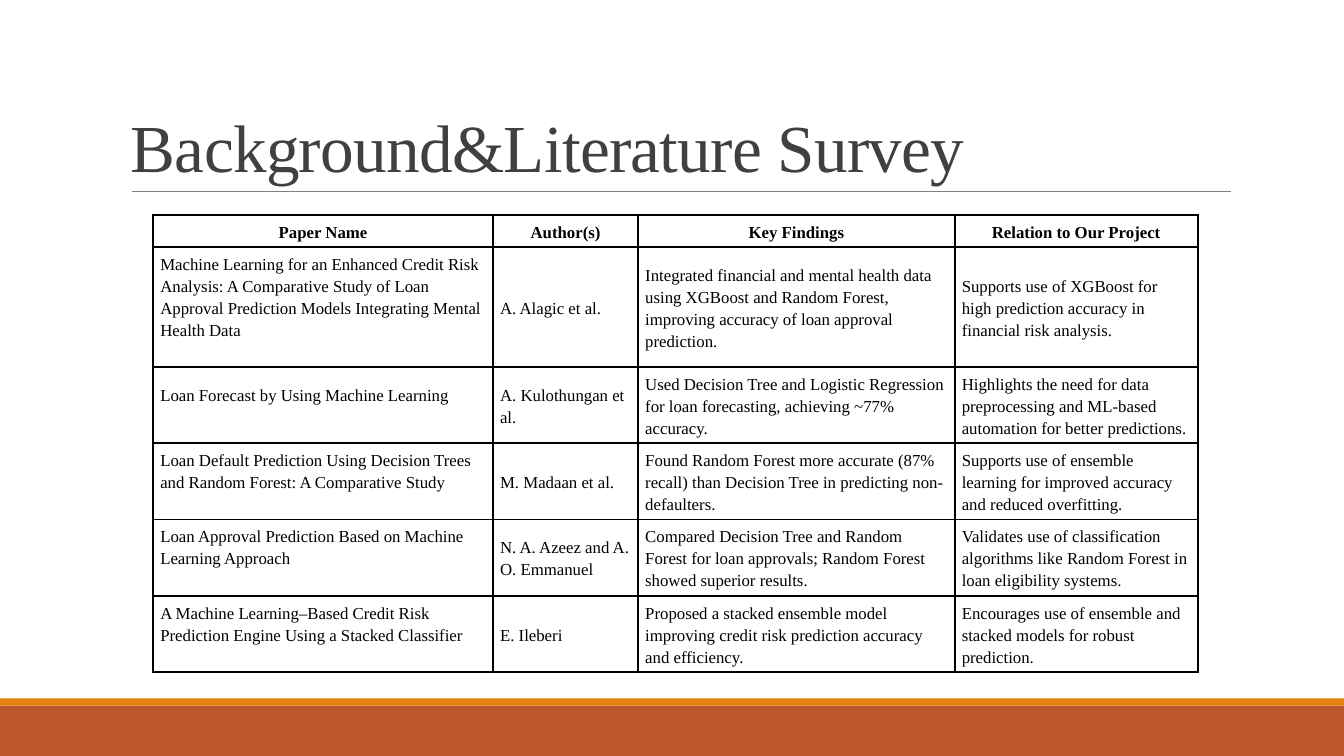
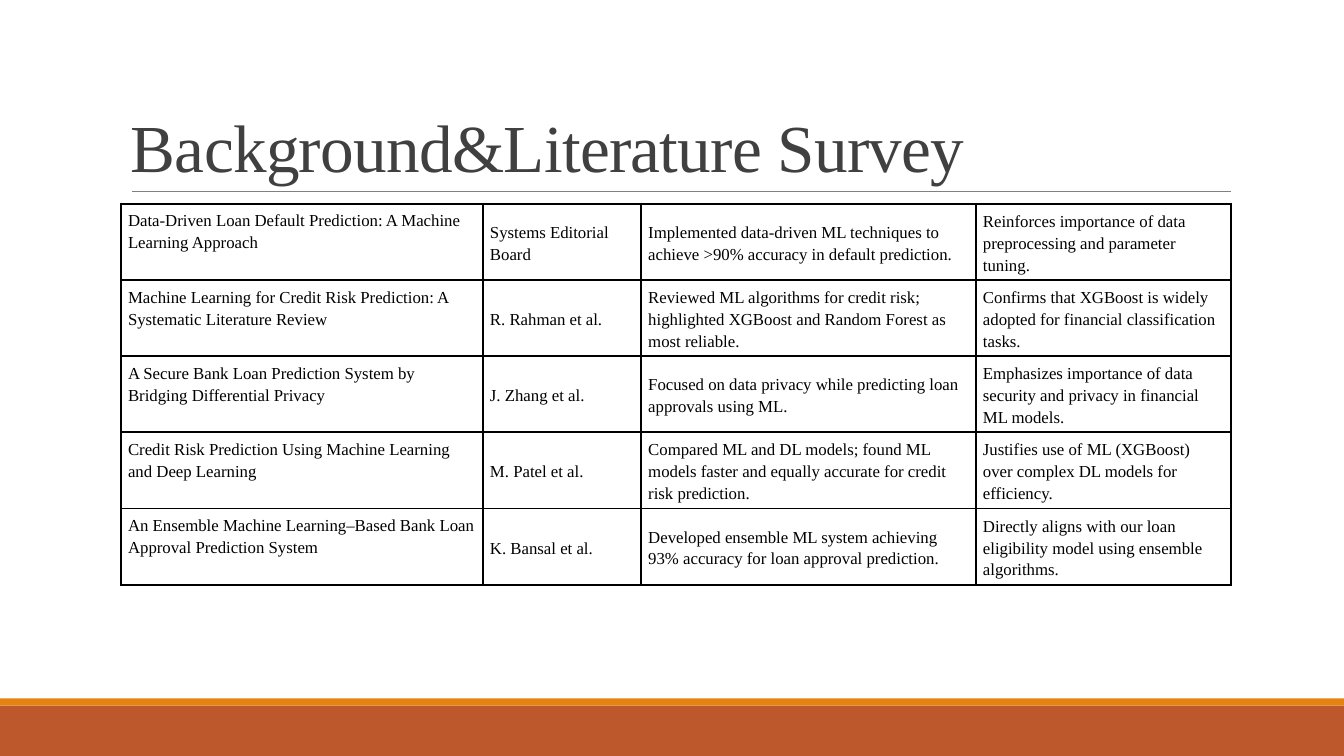
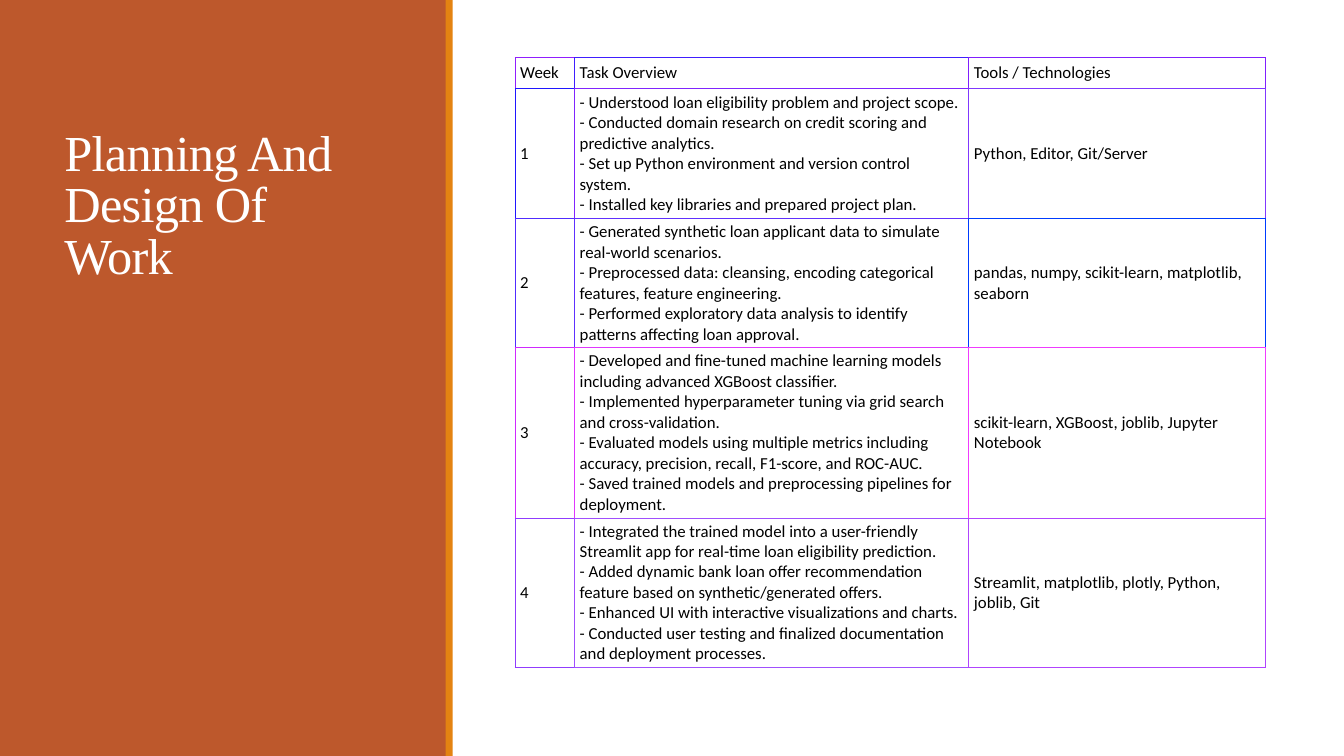
from dataclasses import dataclass

from lxml.etree import SubElement
from pptx import Presentation
from pptx.dml.color import RGBColor
from pptx.enum.shapes import MSO_CONNECTOR, MSO_SHAPE
from pptx.enum.text import MSO_ANCHOR, PP_ALIGN
from pptx.oxml.ns import qn
from pptx.util import Inches, Pt


@dataclass(frozen=True)
class Theme:
    rust: str = "BD582C"
    orange: str = "E48312"
    rule: str = "808080"
    heading: str = "404040"
    ink: str = "000000"
    paper: str = "FFFFFF"
    serif: str = "Times New Roman"
    sans: str = "Calibri"
    title_size: int = 48
    panel_title_size: int = 36
    body_size: int = 12
    leading: float = 15.7


WIDTH, HEIGHT = 13.33, 7.5
SURVEY_TITLE = "Background&Literature Survey"
SURVEY_HEADER = ["Paper Name", "Author(s)", "Key Findings", "Relation to Our Project"]
SURVEY_FIRST = [
    ["Machine Learning for an Enhanced Credit Risk Analysis: A Comparative Study of Loan Approval Prediction Models Integrating Mental Health Data",
     "A. Alagic et al.",
     "Integrated financial and mental health data using XGBoost and Random Forest, improving accuracy of loan approval prediction.",
     "Supports use of XGBoost for high prediction accuracy in financial risk analysis."],
    ["Loan Forecast by Using Machine Learning",
     "A. Kulothungan et al.",
     "Used Decision Tree and Logistic Regression for loan forecasting, achieving ~77% accuracy.",
     "Highlights the need for data preprocessing and ML-based automation for better predictions."],
    ["Loan Default Prediction Using Decision Trees and Random Forest: A Comparative Study",
     "M. Madaan et al.",
     "Found Random Forest more accurate (87% recall) than Decision Tree in predicting non-defaulters.",
     "Supports use of ensemble learning for improved accuracy and reduced overfitting."],
    ["Loan Approval Prediction Based on Machine Learning Approach",
     "N. A. Azeez and A. O. Emmanuel",
     "Compared Decision Tree and Random Forest for loan approvals; Random Forest showed superior results.",
     "Validates use of classification algorithms like Random Forest in loan eligibility systems."],
    ["A Machine Learning–Based Credit Risk Prediction Engine Using a Stacked Classifier",
     "E. Ileberi",
     "Proposed a stacked ensemble model improving credit risk prediction accuracy and efficiency.",
     "Encourages use of ensemble and stacked models for robust prediction."],
]
SURVEY_SECOND = [
    ["Data-Driven Loan Default Prediction: A Machine Learning Approach",
     "Systems Editorial Board",
     "Implemented data-driven ML techniques to achieve >90% accuracy in default prediction.",
     "Reinforces importance of data preprocessing and parameter tuning."],
    ["Machine Learning for Credit Risk Prediction: A Systematic Literature Review",
     "R. Rahman et al.",
     "Reviewed ML algorithms for credit risk; highlighted XGBoost and Random Forest as most reliable.",
     "Confirms that XGBoost is widely adopted for financial classification tasks."],
    ["A Secure Bank Loan Prediction System by Bridging Differential Privacy",
     "J. Zhang et al.",
     "Focused on data privacy while predicting loan approvals using ML.",
     "Emphasizes importance of data security and privacy in financial ML models."],
    ["Credit Risk Prediction Using Machine Learning and Deep Learning",
     "M. Patel et al.",
     "Compared ML and DL models; found ML models faster and equally accurate for credit risk prediction.",
     "Justifies use of ML (XGBoost) over complex DL models for efficiency."],
    ["An Ensemble Machine Learning–Based Bank Loan Approval Prediction System",
     "K. Bansal et al.",
     "Developed ensemble ML system achieving 93% accuracy for loan approval prediction.",
     "Directly aligns with our loan eligibility model using ensemble algorithms."],
]
PLAN = [
    ["Week", "Task Overview", "Tools / Technologies"],
    ["1",
     "- Understood loan eligibility problem and project scope.\n"
     "- Conducted domain research on credit scoring and predictive analytics.\n"
     "- Set up Python environment and version control system.\n"
     "- Installed key libraries and prepared project plan.",
     "Python, Editor, Git/Server"],
    ["2",
     "- Generated synthetic loan applicant data to simulate real-world scenarios.\n"
     "- Preprocessed data: cleansing, encoding categorical features, feature engineering.\n"
     "- Performed exploratory data analysis to identify patterns affecting loan approval.",
     "pandas, numpy, scikit-learn, matplotlib, seaborn"],
    ["3",
     "- Developed and fine-tuned machine learning models including advanced XGBoost classifier.\n"
     "- Implemented hyperparameter tuning via grid search and cross-validation.\n"
     "- Evaluated models using multiple metrics including accuracy, precision, recall, F1-score, and ROC-AUC.\n"
     "- Saved trained models and preprocessing pipelines for deployment.",
     "scikit-learn, XGBoost, joblib, Jupyter Notebook"],
    ["4",
     "- Integrated the trained model into a user-friendly Streamlit app for real-time loan eligibility prediction.\n"
     "- Added dynamic bank loan offer recommendation feature based on synthetic/generated offers.\n"
     "- Enhanced UI with interactive visualizations and charts.\n"
     "- Conducted user testing and finalized documentation and deployment processes.",
     "Streamlit, matplotlib, plotly, Python, joblib, Git"],
]
PLAN_BORDERS = [
    ["901EFE", "401EFE", "801FFE"],
    ["2016FE", "8024FE", "8038FE"],
    ["502CFE", "6030FE", "003BFE"],
    ["D029FE", "E037FE", "F03BFE"],
    ["903CFE", "A04FFE", "B044FE"],
]


class Deck:
    """Builds slides in one shared style."""

    def __init__(self, theme):
        self.theme = theme
        self.presentation = Presentation()
        self.presentation.slide_width = Inches(WIDTH)
        self.presentation.slide_height = Inches(HEIGHT)
        self.slide = None

    def add_slide(self):
        self.slide = self.presentation.slides.add_slide(self.presentation.slide_layouts[6])

    def band(self, left, top, width, height, color):
        band = self.slide.shapes.add_shape(
            MSO_SHAPE.RECTANGLE, Inches(left), Inches(top), Inches(width), Inches(height))
        band.shadow.inherit = False
        band.fill.solid()
        band.fill.fore_color.rgb = RGBColor.from_string(color)
        band.line.fill.background()

    def rule(self, left, right, y):
        rule = self.slide.shapes.add_connector(
            MSO_CONNECTOR.STRAIGHT, Inches(left), Inches(y), Inches(right), Inches(y))
        rule.line.color.rgb = RGBColor.from_string(self.theme.rule)
        rule.line.width = Pt(0.5)
        SubElement(rule._element.spPr, qn("a:effectLst"))

    def style(self, paragraph, font, size, color, bold=False):
        paragraph.font.name = font
        paragraph.font.size = Pt(size)
        paragraph.font.bold = bold
        paragraph.font.color.rgb = RGBColor.from_string(color)

    def title(self, text, left, top, width, height, size, color):
        frame = self.slide.shapes.add_textbox(
            Inches(left), Inches(top), Inches(width), Inches(height)).text_frame
        frame.word_wrap = True
        frame.vertical_anchor = MSO_ANCHOR.BOTTOM
        heading = frame.paragraphs[0]
        heading.line_spacing = 0.85
        run = heading.add_run()
        run.text = text
        run._r.get_or_add_rPr().set("spc", "-50")
        self.style(heading, self.theme.serif, size, color)

    def borders(self, cell, colors, width):
        properties = cell._tc.get_or_add_tcPr()
        for side, color in zip("LRTB", colors):
            edge = SubElement(properties, qn(f"a:ln{side}"), w=str(Pt(width)))
            fill = SubElement(edge, qn("a:solidFill"))
            SubElement(fill, qn("a:srgbClr"), val=color)

    def table(self, rows, left, top, widths, heights, edges, edge_width):
        table = self.slide.shapes.add_table(
            len(rows), len(widths), Inches(left), Inches(top),
            Inches(sum(widths)), Inches(sum(heights))).table
        table.first_row = table.horz_banding = False
        for column, width in zip(table.columns, widths):
            column.width = Inches(width)
        for row, height in zip(table.rows, heights):
            row.height = Inches(height)
        for r, texts in enumerate(rows):
            for c, text in enumerate(texts):
                cell = table.cell(r, c)
                own = edges[r][c]
                right = edges[r][min(c + 1, len(widths) - 1)]
                below = edges[min(r + 1, len(rows) - 1)][c]
                self.borders(cell, (own, right, own, below), edge_width)
                cell.fill.background()
                cell.text = text
        return table

    def survey_slide(self, papers, left, top, widths, heights, header=None):
        theme = self.theme
        self.add_slide()
        self.band(0, 7, WIDTH, 0.5, theme.rust)
        self.band(0, 6.93, WIDTH, 0.07, theme.orange)
        self.rule(1.31, 12.21, 1.9)
        self.title(SURVEY_TITLE, 1.2, 0.31, 11, 1.59, theme.title_size, theme.heading)
        rows = [header] + papers if header else papers
        edges = [[theme.ink] * len(widths)] * len(rows)
        table = self.table(rows, left, top, widths, heights, edges, 1.5)
        for r in range(len(rows)):
            is_header = bool(header) and r == 0
            for c in range(len(widths)):
                cell = table.cell(r, c)
                cell.vertical_anchor = MSO_ANCHOR.MIDDLE
                cell.margin_left = cell.margin_right = Inches(0.07)
                cell.margin_top = Inches(0.05)
                cell.margin_bottom = Inches(0.27 if c == 0 and not is_header else 0.05)
                entry = cell.text_frame.paragraphs[0]
                entry.line_spacing = Pt(theme.leading)
                entry.alignment = PP_ALIGN.CENTER if is_header else PP_ALIGN.LEFT
                self.style(entry, theme.serif, theme.body_size, theme.ink, is_header)

    def plan_slide(self):
        theme = self.theme
        self.add_slide()
        self.band(0, 0, 4.43, HEIGHT, theme.rust)
        self.title("Planning And Design Of Work", 0.54, 0.57, 3.37, 2.3,
                   theme.panel_title_size, theme.paper)
        self.band(4.42, 0, 0.07, HEIGHT, theme.orange)
        table = self.table(PLAN, 5.11, 0.57, [0.59, 3.91, 2.94],
                           [0.31, 1.29, 1.28, 1.69, 1.48], PLAN_BORDERS, 0.75)
        for r in range(len(PLAN)):
            for c in range(len(PLAN[r])):
                cell = table.cell(r, c)
                cell.vertical_anchor = MSO_ANCHOR.MIDDLE if r else MSO_ANCHOR.TOP
                cell.margin_left = cell.margin_right = Inches(0.05)
                cell.margin_top = cell.margin_bottom = Inches(0.03 if r else 0.05)
                for task in cell.text_frame.paragraphs:
                    self.style(task, theme.sans, theme.body_size, theme.ink)


def main():
    deck = Deck(Theme())
    deck.survey_slide(SURVEY_FIRST, 1.52, 2.13, [3.37, 1.44, 3.14, 2.41],
                      [0.32, 1.18] + [0.75] * 4, SURVEY_HEADER)
    deck.survey_slide(SURVEY_SECOND, 1.2, 2.02, [3.59, 1.57, 3.32, 2.53], [0.75] * 5)
    deck.plan_slide()
    deck.presentation.save("out.pptx")


if __name__ == "__main__":
    main()
